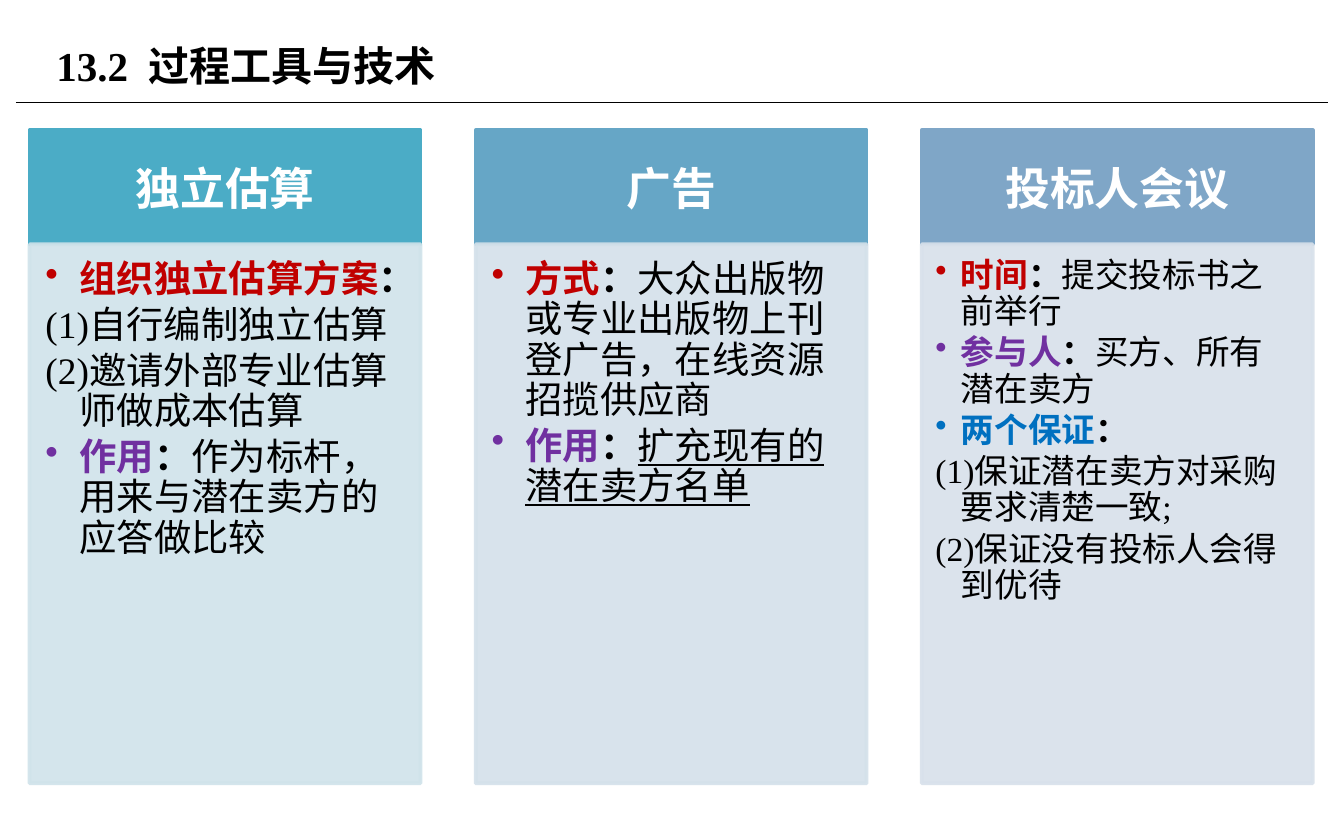
import pptx
import pptx.util
import pptx.dml.color
import pptx.enum.shapes
import pptx.enum.text
import pptx.oxml.ns
import lxml.etree

Cm, Pt = pptx.util.Cm, pptx.util.Pt
qn = pptx.oxml.ns.qn
ALIGN, ANCHOR = pptx.enum.text.PP_ALIGN, pptx.enum.text.MSO_ANCHOR

COLOURS = {"black": "000000", "white": "FFFFFF", "red": "C00000",
           "purple": "7030A0", "blue": "0070C0"}
COLUMN_LEFT, COLUMN_STEP, COLUMN_WIDTH = 0.56, 8.43, 7.39
HEADING_TOP, HEADING_HEIGHT, BODY_HEIGHT = 2.46, 2.16, 10.19

# Each paragraph is (label, label colour, text, underlined); a label brings a bullet.
columns = [
    {"heading": "独立估算", "fill": "4BACC6", "tint": "D0E3EA",
     "size": 20, "indent": 0.64, "insets": (0.3, 0.3, 0.4, 0.43),
     "paragraphs": [
         ("组织独立估算方案", "red", "", False),
         ("", "", "(1)自行编制独立估算", False),
         ("", "", "(2)邀请外部专业估算师做成本估算", False),
         ("作用", "purple", "作为标杆，用来与潜在卖方的应答做比较", False)]},
    {"heading": "广告", "fill": "66A6C6", "tint": "D4E1EA",
     "size": 20, "indent": 0.64, "insets": (0.3, 0.3, 0.4, 0.43),
     "paragraphs": [
         ("方式", "red", "大众出版物或专业出版物上刊登广告，在线资源招揽供应商", False),
         ("作用", "purple", "扩充现有的潜在卖方名单", True)]},
    {"heading": "投标人会议", "fill": "7FA6C7", "tint": "D8E1EB",
     "size": 18, "indent": 0.48, "insets": (0.26, 0.26, 0.36, 0.41),
     "paragraphs": [
         ("时间", "red", "提交投标书之前举行", False),
         ("参与人", "purple", "买方、所有潜在卖方", False),
         ("两个保证", "blue", "", False),
         ("", "", "(1)保证潜在卖方对采购要求清楚一致;", False),
         ("", "", "(2)保证没有投标人会得到优待", False)]},
]

deck = pptx.Presentation()
deck.slide_width, deck.slide_height = Cm(25.4), Cm(15.88)
slide = deck.slides.add_slide(deck.slide_layouts[5])


def add_run(paragraph, text, colour, size, bold=True, underline=None):
    """Append one formatted run to a paragraph."""
    run = paragraph.add_run()
    run.text = text
    font_format = {"name": "Times New Roman", "size": Pt(size),
                   "bold": bold, "underline": underline}
    for attribute, value in font_format.items():
        setattr(run.font, attribute, value)
    run.font.color.rgb = pptx.dml.color.RGBColor.from_string(COLOURS[colour])


def add_panel(left, top, height, colour, insets, anchor):
    """Add a filled rectangle of column width and return it."""
    panel = slide.shapes.add_shape(pptx.enum.shapes.MSO_SHAPE.RECTANGLE,
                                   Cm(left), Cm(top), Cm(COLUMN_WIDTH), Cm(height))
    panel.shadow.inherit = False
    for fill in (panel.fill, panel.line.fill):
        fill.solid()
        fill.fore_color.rgb = pptx.dml.color.RGBColor.from_string(colour)
    panel.line.width = Pt(2)
    frame_format = {"word_wrap": True, "vertical_anchor": anchor}
    for side, inset in zip(("left", "top", "right", "bottom"), insets):
        frame_format[f"margin_{side}"] = Cm(inset)
    for attribute, value in frame_format.items():
        setattr(panel.text_frame, attribute, value)
    return panel


title = slide.shapes.title
title_place = {"left": Cm(0.81), "top": Cm(0.33), "width": Cm(16.2), "height": Cm(1.8)}
for attribute, value in title_place.items():
    setattr(title, attribute, value)
title.text_frame.vertical_anchor = ANCHOR.MIDDLE
title.text_frame.paragraphs[0].alignment = ALIGN.LEFT
add_run(title.text_frame.paragraphs[0], "13.2  过程工具与技术", "black", 22)

title_rule = slide.shapes.add_connector(pptx.enum.shapes.MSO_CONNECTOR.STRAIGHT,
                                        Cm(0.3), Cm(1.94), Cm(25.1), Cm(1.94))
title_rule.line.width = Pt(0.75)
title_rule.line.color.rgb = pptx.dml.color.RGBColor.from_string(COLOURS["black"])
lxml.etree.SubElement(title_rule.element.spPr, qn("a:effectLst"))

for index, column in enumerate(columns):
    left = COLUMN_LEFT + index * COLUMN_STEP
    heading = add_panel(left, HEADING_TOP, HEADING_HEIGHT, column["fill"],
                        (0.48, 0.28, 0.48, 0.28), ANCHOR.MIDDLE)
    heading_line = heading.text_frame.paragraphs[0]
    heading_line.alignment = ALIGN.CENTER
    add_run(heading_line, column["heading"], "white", 24)

    body = add_panel(left, HEADING_TOP + HEADING_HEIGHT, BODY_HEIGHT, column["tint"],
                     column["insets"], ANCHOR.TOP)
    for tint in body.element.spPr.iter(qn("a:srgbClr")):
        lxml.etree.SubElement(tint, qn("a:alpha"), val="90000")

    size = column["size"]
    for number, (label, colour, text, underlined) in enumerate(column["paragraphs"]):
        frame = body.text_frame
        paragraph = frame.add_paragraph() if number else frame.paragraphs[0]
        paragraph_format = {"alignment": ALIGN.LEFT, "line_spacing": 0.9,
                            "space_after": Pt(0.15 * size)}
        for attribute, value in paragraph_format.items():
            setattr(paragraph, attribute, value)
        properties = paragraph._p.get_or_add_pPr()
        properties.set("marL", str(Cm(column["indent"])))
        properties.set("indent", str(-Cm(column["indent"])))
        if label:
            lxml.etree.SubElement(properties, qn("a:buChar"), char="•")
            add_run(paragraph, label, colour, size)
            add_run(paragraph, "：", "black", size)
        else:
            lxml.etree.SubElement(properties, qn("a:buNone"))
        if text:
            add_run(paragraph, text, "black", size, False, underlined)

deck.save("out.pptx")
